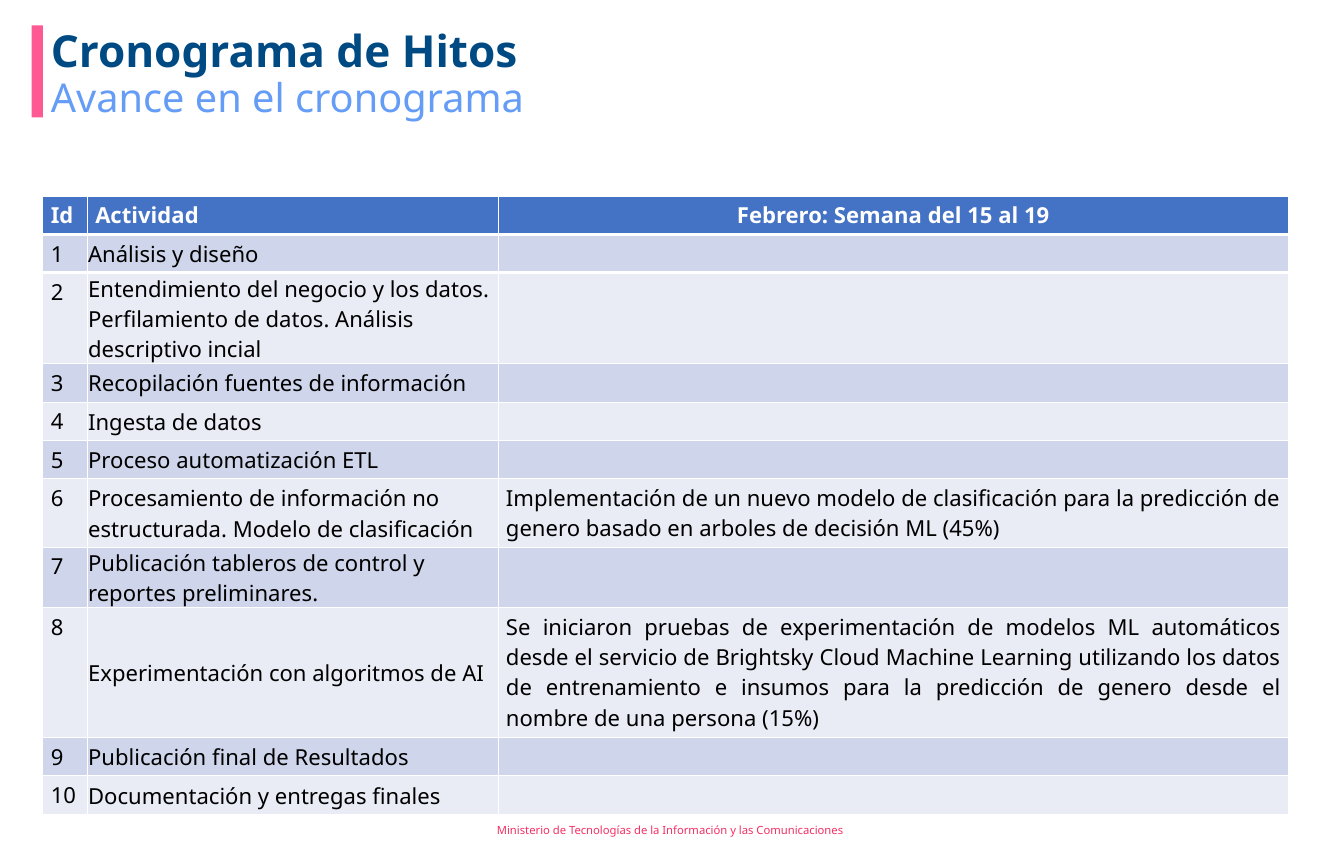
from dataclasses import dataclass
from typing import NamedTuple

from lxml import etree
from pptx import Presentation
from pptx import util as u
from pptx.dml.color import RGBColor
from pptx.enum import shapes, text
from pptx.oxml.ns import qn

WIDTH, HEIGHT = u.Inches(16.93), u.Inches(10.63)
ALIGN = text.PP_ALIGN
ANCHOR = text.MSO_ANCHOR


@dataclass(frozen=True)
class Theme:
    font: str = "Noto Sans"
    title: str = "004A84"
    subtitle: str = "649CF6"
    bar: str = "FF5993"
    footer: str = "F42F63"
    header: str = "4472C4"
    header_text: str = "FFFFFF"
    rule: str = "FFFFFF"
    cell_text: str = "000000"
    bands: tuple[str, str] = ("CFD5EA", "E9EBF5")
    title_size: float = 40
    subtitle_size: float = 36
    table_size: float = 20
    footer_size: float = 10.2
    rule_width: float = 3


THEME = Theme()


class Area(NamedTuple):
    """Left, top, width and height as percentages of the slide."""
    left: float
    top: float
    width: float
    height: float

    def lengths(self) -> tuple[int, int, int, int]:
        return (int(WIDTH * self.left / 100), int(HEIGHT * self.top / 100),
                int(WIDTH * self.width / 100), int(HEIGHT * self.height / 100))


class Margins(NamedTuple):
    """Left, top, right and bottom insets in inches."""
    left: float = 0.1
    top: float = 0.05
    right: float = 0.1
    bottom: float = 0.05


ROW_SHARE = 4.55


class Milestone(NamedTuple):
    """One table row; its height is a percentage of the slide."""
    activity: str
    progress: str = ""
    align: ALIGN = ALIGN.LEFT
    height: float = ROW_SHARE


BAR = Area(2.36, 3.01, 0.83, 10.91)
TITLE = Area(3.19, 3.01, 94.45, 5.17)
SUBTITLE = Area(3.19, 8.75, 77.26, 7.06)
TABLE = Area(3.19, 23.24, 92.68, 73)
FOOTER = Area(36.39, 96.71, 27.17, 3.29)
COLUMN_SHARES = (3.57, 32.97, 63.46)
HEADING_MARGINS = Margins(bottom=0)
ACTIVITY_MARGINS = Margins(0.01, 0.01, 0.01, 0)

HEADERS = ("Id", "Actividad", "Febrero: Semana del 15 al 19")
MILESTONES = (
    Milestone("Análisis y diseño"),
    Milestone("Entendimiento del negocio y los datos. Perfilamiento de datos. "
              "Análisis descriptivo incial", height=10.75),
    Milestone("Recopilación fuentes de información"),
    Milestone("Ingesta de datos"),
    Milestone("Proceso automatización ETL"),
    Milestone("Procesamiento de información no estructurada. Modelo de clasificación",
              "Implementación de un nuevo modelo de clasificación para la predicción "
              "de genero basado en arboles de decisión ML (45%)", height=8.1),
    Milestone("Publicación tableros de control y reportes preliminares.", height=7.2),
    Milestone("Experimentación con algoritmos de AI",
              "Se iniciaron pruebas de experimentación de modelos ML automáticos desde "
              "el servicio de Brightsky Cloud Machine Learning utilizando los datos de "
              "entrenamiento e insumos para la predicción de genero desde el nombre de "
              "una persona (15%)", ALIGN.JUSTIFY, 15.35),
    Milestone("Publicación final de Resultados"),
    Milestone("Documentación y entregas finales"),
)


def set_margins(holder, margins: Margins) -> None:
    """Apply insets to a text frame or a table cell."""
    holder.margin_left, holder.margin_top, holder.margin_right, holder.margin_bottom = (
        u.Inches(inset) for inset in margins)


def write(frame, wording: str, size: float, color: str, bold: bool = False,
          align: ALIGN = ALIGN.LEFT):
    frame.text = wording
    para = frame.paragraphs[0]
    para.alignment = align
    para.font.name = THEME.font
    para.font.size = u.Pt(size)
    para.font.bold = bold
    para.font.color.rgb = RGBColor.from_string(color)
    return para


def place_heading(box, area: Area, wording: str, size: float, color: str,
                  bold: bool = False) -> None:
    box.left, box.top, box.width, box.height = area.lengths()
    frame = box.text_frame
    frame.word_wrap = True
    frame.auto_size = text.MSO_AUTO_SIZE.NONE
    frame.vertical_anchor = ANCHOR.TOP
    set_margins(frame, HEADING_MARGINS)
    para = write(frame, wording, size, color, bold)
    para.line_spacing = 0.9
    para.space_before = u.Pt(0)
    properties = para._p.get_or_add_pPr()
    properties.set("marL", "0")
    properties.set("indent", "0")
    no_bullet = etree.Element(qn("a:buNone"))
    properties.find(qn("a:defRPr")).addprevious(no_bullet)


def add_bar(page) -> None:
    bar = page.shapes.add_shape(shapes.MSO_SHAPE.RECTANGLE, *BAR.lengths())
    bar.shadow.inherit = False
    bar.fill.solid()
    bar.fill.fore_color.rgb = RGBColor.from_string(THEME.bar)
    bar.line.fill.background()


def add_footer(page) -> None:
    box = page.shapes.add_textbox(*FOOTER.lengths())
    box.text_frame.word_wrap = True
    box.text_frame.vertical_anchor = ANCHOR.MIDDLE
    write(box.text_frame, "Ministerio de Tecnologías de la Información y las Comunicaciones",
          THEME.footer_size, THEME.footer)


def fill_cell(cell, wording: str, fill: str, color: str, bold: bool = False,
              align: ALIGN = ALIGN.LEFT) -> None:
    cell.fill.solid()
    cell.fill.fore_color.rgb = RGBColor.from_string(fill)
    if wording:
        write(cell.text_frame, wording, THEME.table_size, color, bold, align)


def rule_edge(cell, edge: str) -> None:
    """Draw the thick rule on one edge of a cell: lnT or lnB."""
    line = etree.Element(qn(f"a:{edge}"), w=str(u.Pt(THEME.rule_width)))
    paint = etree.SubElement(line, qn("a:solidFill"))
    etree.SubElement(paint, qn("a:srgbClr"), val=THEME.rule)
    cell._tc.get_or_add_tcPr().insert(0, line)


def add_schedule(page) -> None:
    holder = page.shapes.add_table(len(MILESTONES) + 1, len(HEADERS), *TABLE.lengths())
    table = holder.table
    for column, share in zip(table.columns, COLUMN_SHARES):
        column.width = int(WIDTH * TABLE.width / 100 * share / 100)
    row_shares = (ROW_SHARE, *(milestone.height for milestone in MILESTONES))
    for row, share in zip(table.rows, row_shares):
        row.height = int(HEIGHT * share / 100)

    for column, (wording, align) in enumerate(
            zip(HEADERS, (ALIGN.LEFT, ALIGN.LEFT, ALIGN.CENTER))):
        fill_cell(table.cell(0, column), wording, THEME.header, THEME.header_text,
                  True, align)
        rule_edge(table.cell(0, column), "lnB")
        rule_edge(table.cell(1, column), "lnT")
    for number, milestone in enumerate(MILESTONES, start=1):
        band = THEME.bands[(number - 1) % 2]
        wordings = (str(number), milestone.activity, milestone.progress)
        aligns = (ALIGN.LEFT, ALIGN.LEFT, milestone.align)
        for column, (wording, align) in enumerate(zip(wordings, aligns)):
            fill_cell(table.cell(number, column), wording, band, THEME.cell_text,
                      align=align)
        activity = table.cell(number, 1)
        activity.vertical_anchor = ANCHOR.MIDDLE
        set_margins(activity, ACTIVITY_MARGINS)


def main() -> None:
    deck = Presentation()
    deck.slide_width, deck.slide_height = WIDTH, HEIGHT
    page = deck.slides.add_slide(deck.slide_layouts.get_by_name("Title and Content"))
    add_bar(page)
    add_footer(page)
    place_heading(page.shapes.title, TITLE, "Cronograma de Hitos",
                  THEME.title_size, THEME.title, bold=True)
    place_heading(page.placeholders[1], SUBTITLE, "Avance en el cronograma",
                  THEME.subtitle_size, THEME.subtitle)
    add_schedule(page)
    deck.save("out.pptx")


if __name__ == "__main__":
    main()
